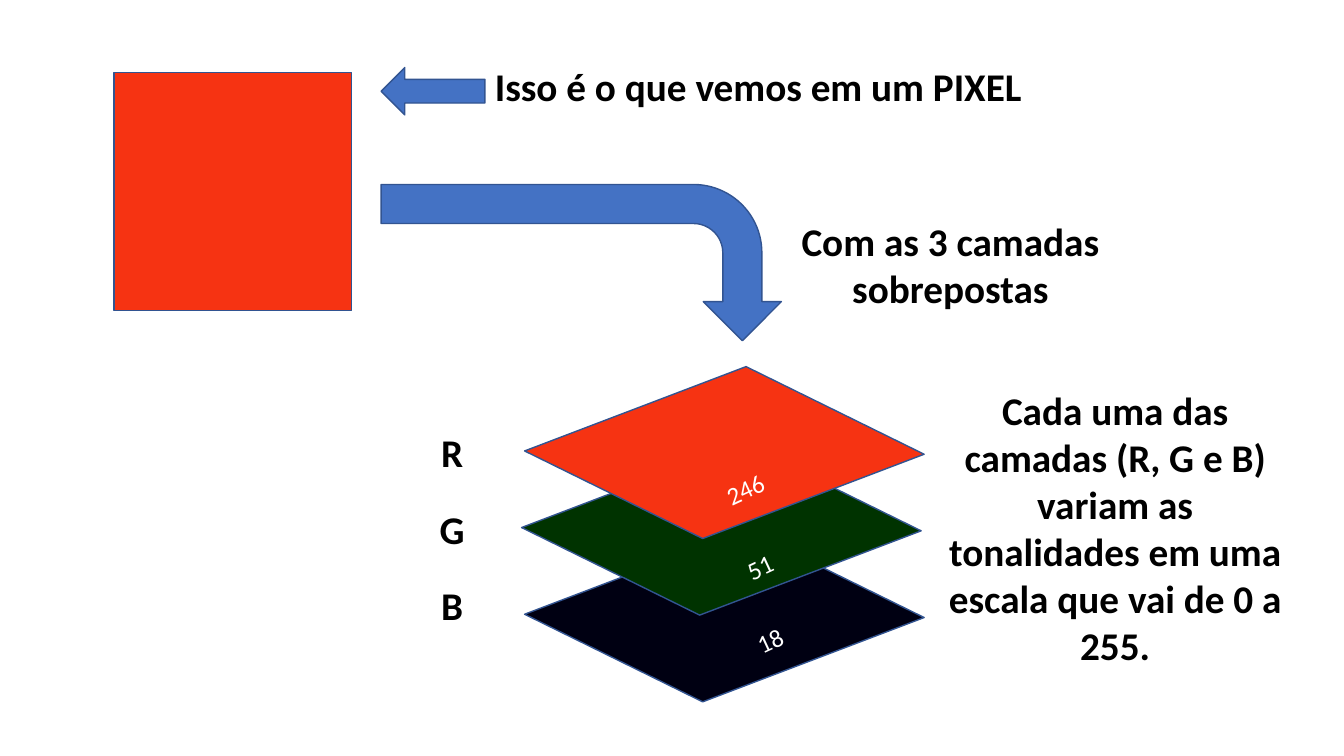
from pptx import Presentation
from pptx import util as u
from pptx.dml.color import RGBColor
from pptx.enum import shapes, text

PX = 9144
RED, BLUE, OUTLINE = "F63312", "4472C4", "325491"
KIND = shapes.MSO_SHAPE


def colour(value):
    """Turn a hex string into a colour."""
    return RGBColor.from_string(value)


class Slide:
    """Holds the style and the current slide."""

    def __init__(self, deck, font="Calibri"):
        """Add a blank page to the deck."""
        self.page = deck.slides.add_slide(deck.slide_layouts[6])
        self.font = font

    def shape(self, kind, left, top, width, height, fill, turn=0, adjust=None):
        """Draw a filled and outlined preset shape."""
        shape = self.page.shapes.add_shape(
            kind, left * PX, top * PX, width * PX, height * PX)
        shape.shadow.inherit = False
        shape.rotation = turn
        shape.fill.solid()
        shape.fill.fore_color.rgb = colour(fill)
        shape.line.color.rgb = colour(OUTLINE)
        shape.line.width = u.Pt(1)
        if adjust is not None:
            shape.adjustments[0] = adjust

    def label(self, words, left, top, width, height, size=28, ink="000000",
              bold=True, wrap=True, turn=0):
        """Write a text box, centred when it wraps."""
        box = self.page.shapes.add_textbox(
            left * PX, top * PX, width * PX, height * PX)
        box.rotation = turn
        frame = box.text_frame
        frame.text = words
        frame.word_wrap = wrap
        frame.auto_size = text.MSO_AUTO_SIZE.SHAPE_TO_FIT_TEXT
        para = frame.paragraphs[0]
        para.alignment = text.PP_ALIGN.CENTER if wrap else text.PP_ALIGN.LEFT
        font = para.runs[0].font
        font.name, font.size, font.bold = self.font, u.Pt(size), bold
        font.color.rgb = colour(ink)


def main():
    """Build the slide about the layers of a pixel."""
    deck = Presentation()
    deck.slide_width, deck.slide_height = 1333 * PX, 750 * PX
    slide = Slide(deck)

    layers = [
        ("R", RED, 540, 363, "246", 710, 465, 59),
        ("G", "003300", 537, 439, "51", 731, 542, 46),
        ("B", "000012", 540, 525, "18", 741, 615, 46),
    ]
    for _, fill, left, top, *_ in reversed(layers):
        slide.shape(KIND.PARALLELOGRAM, left, top, 357, 172, fill, 26.2, 0.931)

    slide.shape(KIND.RECTANGLE, 113, 72, 236, 236, RED)
    slide.shape(KIND.BENT_ARROW, 499, 62, 155, 397, BLUE, 90)
    slide.label("Isso é o que vemos em um PIXEL", 481, 57, 548, 57, wrap=False)
    slide.shape(KIND.LEFT_ARROW, 378, 67, 103, 47, BLUE)
    slide.label("Com as 3 camadas sobrepostas", 780, 211, 325, 104)
    slide.label("Cada uma das camadas (R, G e B) variam as tonalidades "
                "em uma escala que vai de 0 a 255.", 929, 378, 354, 293)

    for row, (letter, _, _, _, value, left, top, width) in enumerate(layers):
        slide.label(letter, 411, 420 + 76 * row, 75, 57)
        slide.label(value, left, top, width, 40, size=18, ink="FFFFFF",
                    bold=False, wrap=False, turn=335.1)

    deck.save("out.pptx")


if __name__ == "__main__":
    main()
